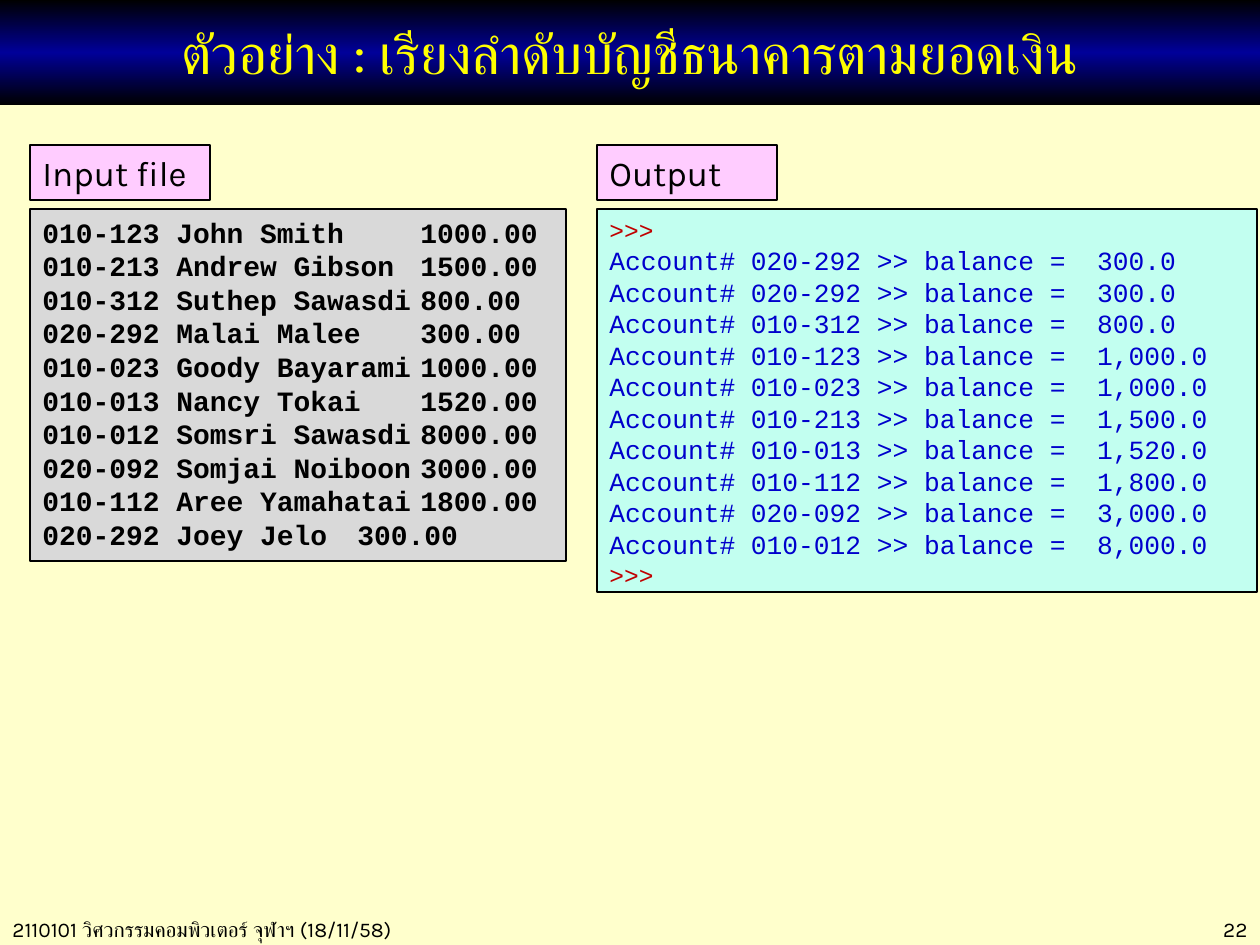
from copy import deepcopy

from pptx import Presentation
from pptx.dml.color import RGBColor
from pptx.enum.shapes import MSO_SHAPE
from pptx.enum.text import MSO_ANCHOR, PP_ALIGN
from pptx.util import Emu, Pt

RECTANGLE = MSO_SHAPE.RECTANGLE
TOP, MIDDLE = MSO_ANCHOR.TOP, MSO_ANCHOR.MIDDLE
LEFT, CENTER, RIGHT = PP_ALIGN.LEFT, PP_ALIGN.CENTER, PP_ALIGN.RIGHT
PIXEL = 914400 // 126
BODY_FONT, CODE_FONT = "Karla", "Courier New"
BLACK, PINK = "000000", "FFCCFF"
PROMPT = ">>>"

ACCOUNTS = [
    "010-123 John Smith \t1000.00",
    "010-213 Andrew Gibson \t1500.00",
    "010-312 Suthep Sawasdi\t800.00",
    "020-292 Malai Malee\t300.00",
    "010-023 Goody Bayarami\t1000.00",
    "010-013 Nancy Tokai\t1520.00",
    "010-012 Somsri Sawasdi\t8000.00",
    "020-092 Somjai Noiboon\t3000.00",
    "010-112 Aree Yamahatai\t1800.00",
    "020-292 Joey Jelo\t300.00",
]
BALANCES = [
    ("020-292", 300), ("020-292", 300), ("010-312", 800), ("010-123", 1000),
    ("010-023", 1000), ("010-213", 1500), ("010-013", 1520),
    ("010-112", 1800), ("020-092", 3000), ("010-012", 8000),
]


def color(hex_value):
    return RGBColor.from_string(hex_value)


def emu(box):
    return [Emu(length * PIXEL) for length in box]


def write(frame, lines, size, font=BODY_FONT, ink=BLACK, bold=False,
          align=LEFT, anchor=TOP):
    frame.word_wrap = True
    frame.vertical_anchor = anchor
    frame.text = "\n".join(lines)
    for paragraph in frame.paragraphs:
        paragraph.alignment = align
        for run in paragraph.runs:
            run.font.size = Pt(size)
            run.font.name = font
            run.font.bold = bold
            run.font.color.rgb = color(ink)


def add_panel(slide, box, fill):
    panel = slide.shapes.add_shape(RECTANGLE, *emu(box))
    panel.shadow.inherit = False
    panel.fill.solid()
    panel.fill.fore_color.rgb = color(fill)
    panel.line.color.rgb = color(BLACK)
    panel.line.width = Pt(0.75)
    return panel.text_frame


def add_title(slide, box, title):
    banner = slide.shapes.add_shape(RECTANGLE, *emu(box))
    banner.shadow.inherit = False
    banner.line.fill.background()
    banner.fill.gradient()
    banner.fill.gradient_angle = 90
    first = banner.fill.gradient_stops[0]._gs
    first.addnext(deepcopy(first))
    stops = zip(banner.fill.gradient_stops, (0, 0.5, 1), (BLACK, "000099", BLACK))
    for stop, position, shade in stops:
        stop.position = position
        stop.color.rgb = color(shade)
    write(banner.text_frame, [title], 32, ink="FFFF00", align=CENTER, anchor=MIDDLE)


def add_listing(slide, box, heading, fill):
    left, top, width, height = box
    write(add_panel(slide, (left, top, 180, 55), PINK), [heading], 20)
    return add_panel(slide, (left, top + 64, width, height - 64), fill)


def add_input(slide, box):
    listing = add_listing(slide, box, "Input file", "D9D9D9")
    write(listing, ACCOUNTS, 16, CODE_FONT, bold=True)


def add_output(slide, box):
    listing = add_listing(slide, box, "Output", "C2FFF0")
    results = [f"Account# {account} >> balance =  {balance:,.1f}"
               for account, balance in BALANCES]
    write(listing, [PROMPT, *results, PROMPT], 15, CODE_FONT, "0000CC")
    for prompt in (listing.paragraphs[0], listing.paragraphs[-1]):
        prompt.runs[0].font.size = Pt(14)
        prompt.runs[0].font.color.rgb = color("C00000")


def add_footer(slide, box, course, number):
    left, top, width, height = box
    number_width = 174
    number_left = left + width - number_width
    course_box = slide.shapes.add_textbox(*emu((left, top, 491, height)))
    write(course_box.text_frame, [course], 12)
    number_box = slide.shapes.add_textbox(
        *emu((number_left, top, number_width, height)))
    write(number_box.text_frame, [number], 12, align=RIGHT)


deck = Presentation()
deck.slide_width, deck.slide_height = emu((1260, 945))
slide = deck.slides.add_slide(deck.slide_layouts[6])
slide.background.fill.solid()
slide.background.fill.fore_color.rgb = color("FFFFCC")
add_footer(slide, (0, 910, 1260, 38),
           "2110101 วิศวกรรมคอมพิวเตอร์ จุฬาฯ (18/11/58)", "22")
add_title(slide, (0, 0, 1260, 105), "ตัวอย่าง : เรียงลำดับบัญชีธนาคารตามยอดเงิน")
add_input(slide, (30, 145, 536, 416))
add_output(slide, (597, 145, 660, 447))
deck.save("out.pptx")
